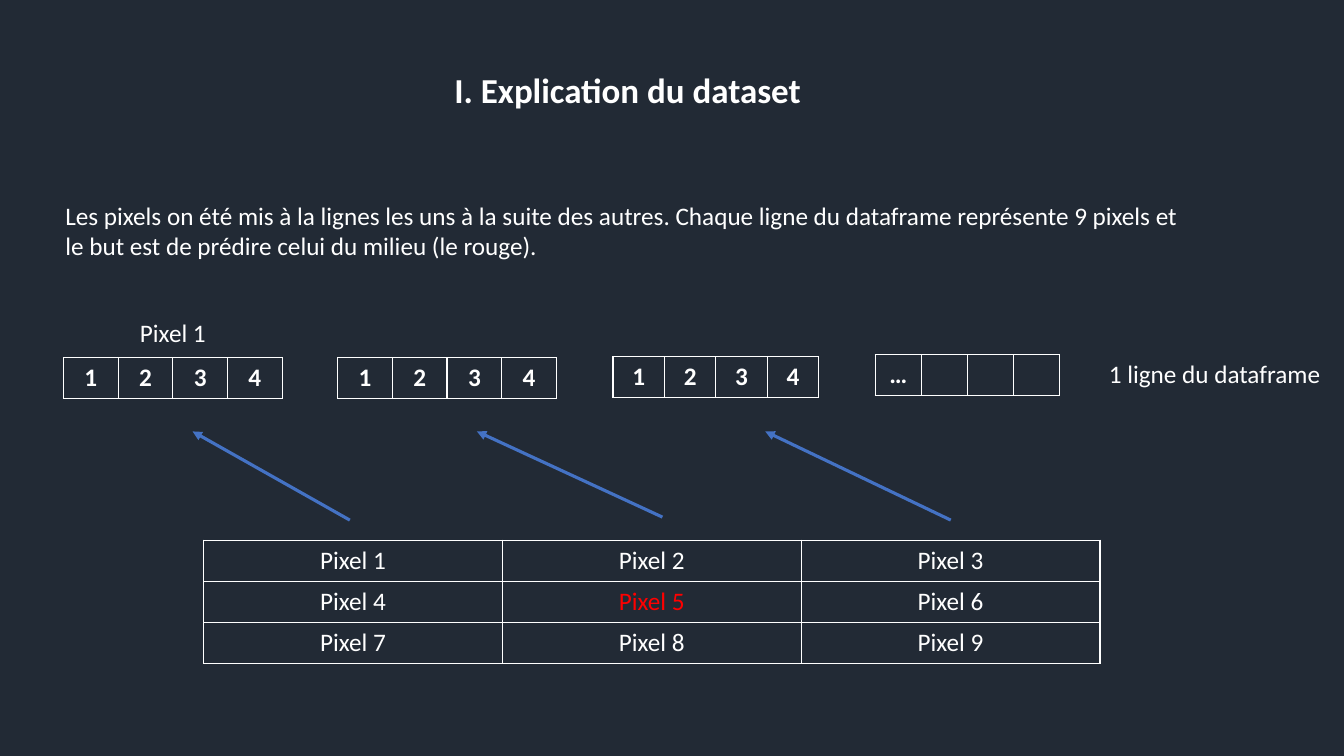
from dataclasses import dataclass
from lxml import etree
from pptx import Presentation
from pptx import util as u
from pptx.dml.color import RGBColor
from pptx.enum import shapes, text
from pptx.oxml import ns


@dataclass
class Theme:
    back: str = "222A35"
    ink: str = "FFFFFF"
    mark: str = "FF0000"
    arrow: str = "4472C4"
    font: str = "Calibri"
    head: float = 25
    body: float = 18
    rule: float = 1
    stroke: float = 2.25


theme = Theme()
center = text.PP_ALIGN.CENTER


def color(code):
    return RGBColor.from_string(code)


def add(parent, tag, **attrs):
    return etree.SubElement(parent, ns.qn(tag), attrs)


def style(frame, size, ink, bold=False, align=None):
    for para in frame.paragraphs:
        para.alignment = align
        for font in [para.font] + [run.font for run in para.runs]:
            font.name = theme.font
            font.size = u.Pt(size)
            font.bold = bold
            font.color.rgb = color(ink)


def label(slide, box, words, size=theme.body, bold=False, align=None):
    frame = slide.shapes.add_textbox(*map(u.Inches, box)).text_frame
    frame.word_wrap = True
    frame.text = words
    style(frame, size, theme.ink, bold, align)


def border(cell):
    props = cell._tc.get_or_add_tcPr()
    for spot, side in enumerate("LRTB"):
        line = etree.Element(ns.qn("a:ln" + side), w=str(u.Pt(theme.rule)))
        fill = add(line, "a:solidFill")
        add(fill, "a:srgbClr", val=theme.ink)
        props.insert(spot, line)


def grid(slide, box, rows, bold=False, mark=None):
    x, y, wide, high = box
    count = len(rows[0])
    table = slide.shapes.add_table(len(rows), count, *map(u.Inches, box)).table
    table.first_row = table.horz_banding = False
    for col in table.columns:
        col.width = u.Inches(wide / count)
    for row, words in zip(table.rows, rows):
        row.height = u.Inches(high / len(rows))
        for cell, word in zip(row.cells, words):
            cell.text = word
            cell.fill.background()
            border(cell)
            ink = theme.mark if word == mark else theme.ink
            style(cell.text_frame, theme.body, ink, bold, center)


def arrow(slide, start, end):
    points = map(u.Inches, start + end)
    line = slide.shapes.add_connector(shapes.MSO_CONNECTOR.STRAIGHT, *points)
    line.line.color.rgb = color(theme.arrow)
    line.line.width = u.Pt(theme.stroke)
    add(line.line._get_or_add_ln(), "a:tailEnd", type="triangle")
    add(line._element.spPr, "a:effectLst")


def intro(slide, box):
    x, y, wide, high = box
    label(slide, (x + 3.16, y, 5.03, 0.52), "I. Explication du dataset",
          theme.head, True, center)
    label(slide, (x, y + 1.31, wide, 0.71),
          "Les pixels on été mis à la lignes les uns à la suite des autres. "
          "Chaque ligne du dataframe représente 9 pixels et le but est de "
          "prédire celui du milieu (le rouge).")


def record(slide, box):
    x, y, wide, high = box
    label(slide, (x + 0.66, y, 1.4, 0.4), "Pixel 1")
    bands = ["1", "2", "3", "4"]
    rest = ["…", "", "", ""]
    groups = [(0, 0.45, 2.17, bands), (2.72, 0.45, 2.17, bands),
              (5.45, 0.44, 2.04, bands), (8.05, 0.42, 1.83, rest)]
    for left, top, span, words in groups:
        grid(slide, (x + left, y + top, span, 0.4), [words], bold=True)
    label(slide, (x + wide - 2.37, y + 0.41, 2.37, 0.4), "1 ligne du dataframe")


def links(slide, box):
    x, y, wide, high = box
    for left, right, drop in [(0, 1.56, high), (2.82, 4.66, high - 0.03),
                              (5.68, wide, high)]:
        arrow(slide, (x + right, y + drop), (x + left, y))


def pixels(slide, box):
    rows = [[f"Pixel {3 * row + col}" for col in (1, 2, 3)] for row in range(3)]
    grid(slide, box, rows, mark="Pixel 5")


deck = Presentation()
deck.slide_width = u.Inches(13.33)
deck.slide_height = u.Inches(7.5)
page = deck.slides.add_slide(deck.slide_layouts[6])
page.background.fill.solid()
page.background.fill.fore_color.rgb = color(theme.back)
intro(page, (0.55, 0.63, 11.33, 2.02))
record(page, (0.63, 3.1, 12.64, 0.86))
links(page, (1.91, 4.28, 7.52, 0.88))
pixels(page, (2.02, 5.36, 8.89, 1.22))
deck.save("out.pptx")
